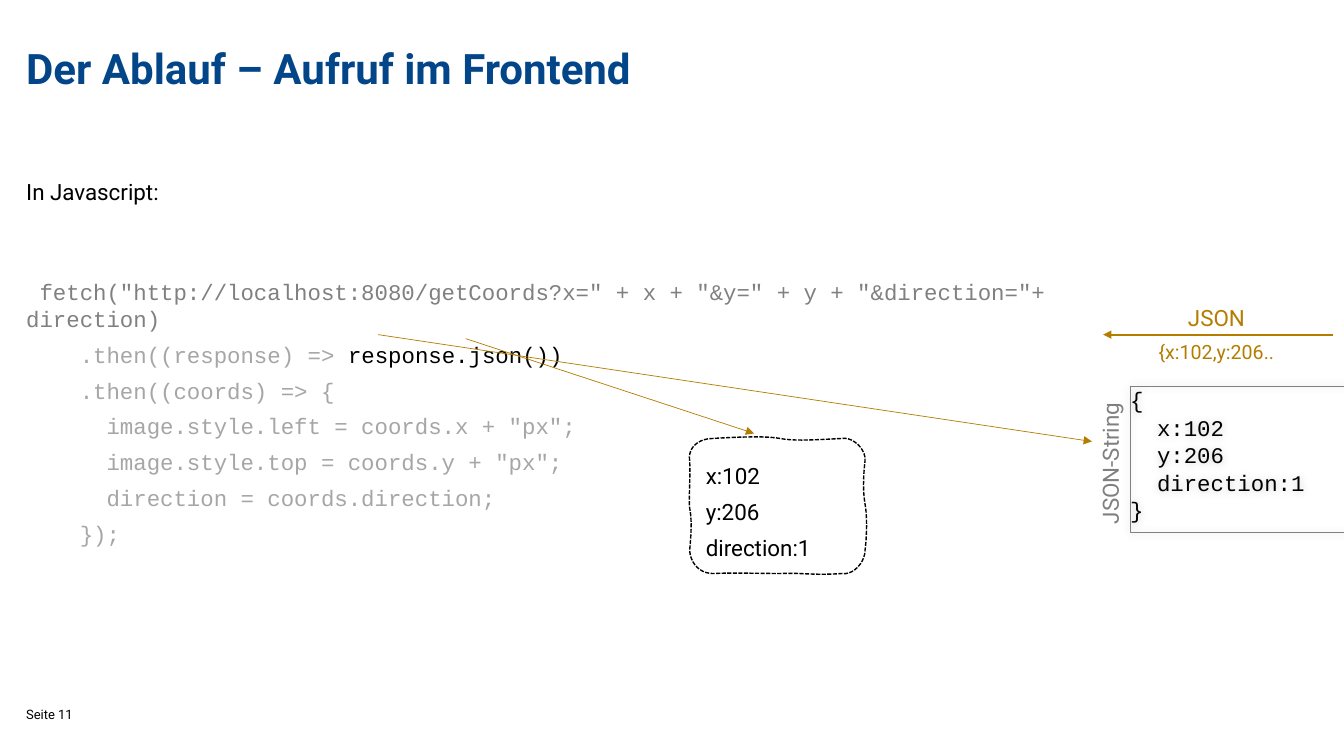
from lxml import etree
from pptx import Presentation
from pptx import util as u
from pptx.dml.color import RGBColor
from pptx.enum import dml, shapes, text
from pptx.oxml import ns

PX = 9144
GOLD, GRAY, PALE, BLACK, NAVY = "B47D00", "808080", "A6A6A6", "000000", "024589"

OUTLINE_START = (0, 22)
OUTLINE_CURVES = [
    [(-2, 9), (9, 0), (23, 0)],
    [(39, -1), (75, -3), (90, 0)],
    [(104, 3), (130, 1), (151, 0)],
    [(161, -2), (175, 10), (174, 22)],
    [(172, 39), (172, 54), (174, 65)],
    [(176, 76), (176, 95), (174, 111)],
    [(174, 123), (162, 136), (151, 134)],
    [(122, 136), (111, 133), (90, 134)],
    [(69, 134), (44, 133), (23, 134)],
    [(11, 134), (1, 125), (0, 111)],
    [(2, 92), (2, 78), (0, 69)],
    [(-1, 61), (1, 34), (0, 22)],
]


def px(*lengths):
    return [u.Emu(length * PX) for length in lengths]


def color(hex_value):
    return RGBColor.from_string(hex_value)


def sub(parent, tag, **attributes):
    return etree.SubElement(parent, ns.qn(tag), attributes)


def write(frame, lines, size=16, font="Roboto", fill=BLACK, bold=False, align=text.PP_ALIGN.LEFT,
          spacing=1.02, before=6, wrap=True, anchor=text.MSO_ANCHOR.TOP):
    frame.margin_left = frame.margin_top = frame.margin_right = frame.margin_bottom = 0
    frame.word_wrap = wrap
    frame.vertical_anchor = anchor
    for index, line in enumerate(lines):
        paragraph = frame.paragraphs[0] if index == 0 else frame.add_paragraph()
        paragraph.alignment = align
        paragraph.line_spacing = spacing
        paragraph.space_before = u.Pt(before if index else 0)
        for words, changes in [(line, {})] if isinstance(line, str) else line:
            run = paragraph.add_run()
            run.text = words
            run.font.name = font
            run.font.bold = bold
            run.font.size = u.Pt(changes.get("size", size))
            run.font.color.rgb = color(changes.get("fill", fill))


def label(slide, box, lines, **style):
    caption = slide.shapes.add_textbox(*px(*box))
    write(caption.text_frame, lines, **style)
    return caption


def arrow(slide, start, end, width):
    pointer = slide.shapes.add_connector(shapes.MSO_CONNECTOR.STRAIGHT, *px(*start, *end))
    pointer.line.color.rgb = color(GOLD)
    pointer.line.width = u.Pt(width)
    sub(pointer.line._get_or_add_ln(), "a:tailEnd", type="triangle")
    sub(pointer._element.spPr, "a:effectLst")


def heading(slide, box):
    left, top, width, height = box
    label(slide, (left, top, width, 89), ["Der Ablauf – Aufruf im Frontend"],
          size=30, fill=NAVY, bold=True, spacing=0.96)
    label(slide, (left, top + 131, width, height - 131), ["In Javascript:"])


def footer(slide, box):
    label(slide, box, ["Seite 11"], size=9.3, wrap=False, anchor=text.MSO_ANCHOR.MIDDLE)


def fetch_code(slide, box):
    label(slide, box, [
        [(' fetch("http://localhost:8080/getCoords?x=" + x + "&y=" + y + "&direction="+ direction)',
          {"fill": GRAY})],
        [("    .then((response) => ", {}), ("response.json())", {"fill": BLACK})],
        "    .then((coords) => {",
        '      image.style.left = coords.x + "px";',
        '      image.style.top = coords.y + "px";',
        "      direction = coords.direction;",
        "    });",
    ], font="Courier New", fill=PALE)


def json_response(slide, box):
    left, top, width, height = box
    arrow(slide, (left + 228, top + 31), (left, top + 31), 1.5)
    label(slide, (left + 27, top, 171, 100), ["JSON", [("{x:102,y:206..", {"size": 14})]],
          fill=GOLD, align=text.PP_ALIGN.CENTER, wrap=False)

    json_string = slide.shapes.add_shape(
        shapes.MSO_SHAPE.RECTANGLE, *px(left + 27, top + 82, width - 27, height - 82))
    json_string.shadow.inherit = False
    json_string.fill.background()
    json_string.line.color.rgb = color(GRAY)
    json_string.line.width = u.Pt(0.75)
    effects = json_string._element.spPr.find(ns.qn("a:effectLst"))
    glow = sub(effects, "a:outerShdw", blurRad=str(u.Pt(6)), dist="0", dir="13500000")
    sub(sub(glow, "a:srgbClr", val=BLACK), "a:alpha", val="20000")
    write(json_string.text_frame, ["{", "  x:102", "  y:206", "  direction:1", "}"],
          font="Courier New", before=0, anchor=text.MSO_ANCHOR.TOP)

    side_title = label(slide, (left - 83, top + 112, 183, 31), ["JSON-String"], fill=GRAY)
    side_title.rotation = 270


def outline_points(steps=10):
    start = OUTLINE_START
    for first, second, end in OUTLINE_CURVES:
        for step in range(1, steps + 1):
            t = step / steps
            weights = (1 - t) ** 3, 3 * t * (1 - t) ** 2, 3 * t * t * (1 - t), t ** 3
            corners = start, first, second, end
            yield tuple(sum(w * c[axis] for w, c in zip(weights, corners)) for axis in (0, 1))
        start = end


def coords_object(slide, box):
    left, top, width, height = box

    def place(point):
        return round((left + point[0]) * PX), round((top + point[1]) * PX)

    builder = slide.shapes.build_freeform(*place(OUTLINE_START), scale=1.0)
    builder.add_line_segments([place(point) for point in outline_points()], close=True)
    bubble = builder.convert_to_shape()
    bubble.shadow.inherit = False
    bubble.fill.background()
    bubble.line.color.rgb = color(BLACK)
    bubble.line.width = u.Pt(1)
    bubble.line.dash_style = dml.MSO_LINE.SQUARE_DOT
    label(slide, (left + 16, top + 23, width - 32, height - 37), ["x:102", "y:206", "direction:1"])


def result_arrows(slide, box):
    left, top, width, height = box
    arrow(slide, (left, top), (left + width, top + height), 0.5)
    arrow(slide, (left + 87, top + 4), (left + 373, top + 98), 0.5)


def main():
    deck = Presentation()
    deck.slide_width, deck.slide_height = px(1333, 750)
    slide = deck.slides.add_slide(deck.slide_layouts[6])
    heading(slide, (26, 45, 945, 188))
    footer(slide, (26, 703, 52, 11))
    fetch_code(slide, (26, 275, 1134, 252))
    json_response(slide, (1094, 301, 295, 227))
    coords_object(slide, (684, 435, 174, 134))
    result_arrows(slide, (375, 332, 708, 106))
    deck.save("out.pptx")


if __name__ == "__main__":
    main()
